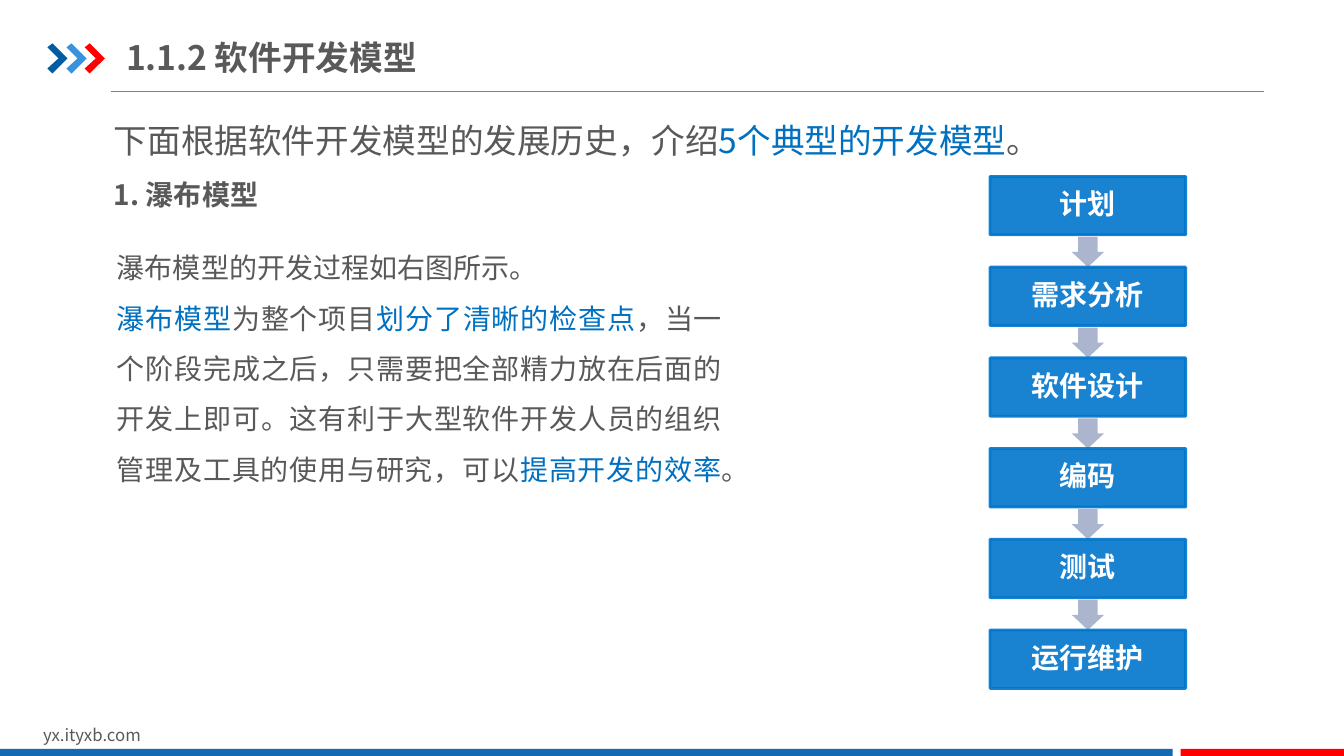
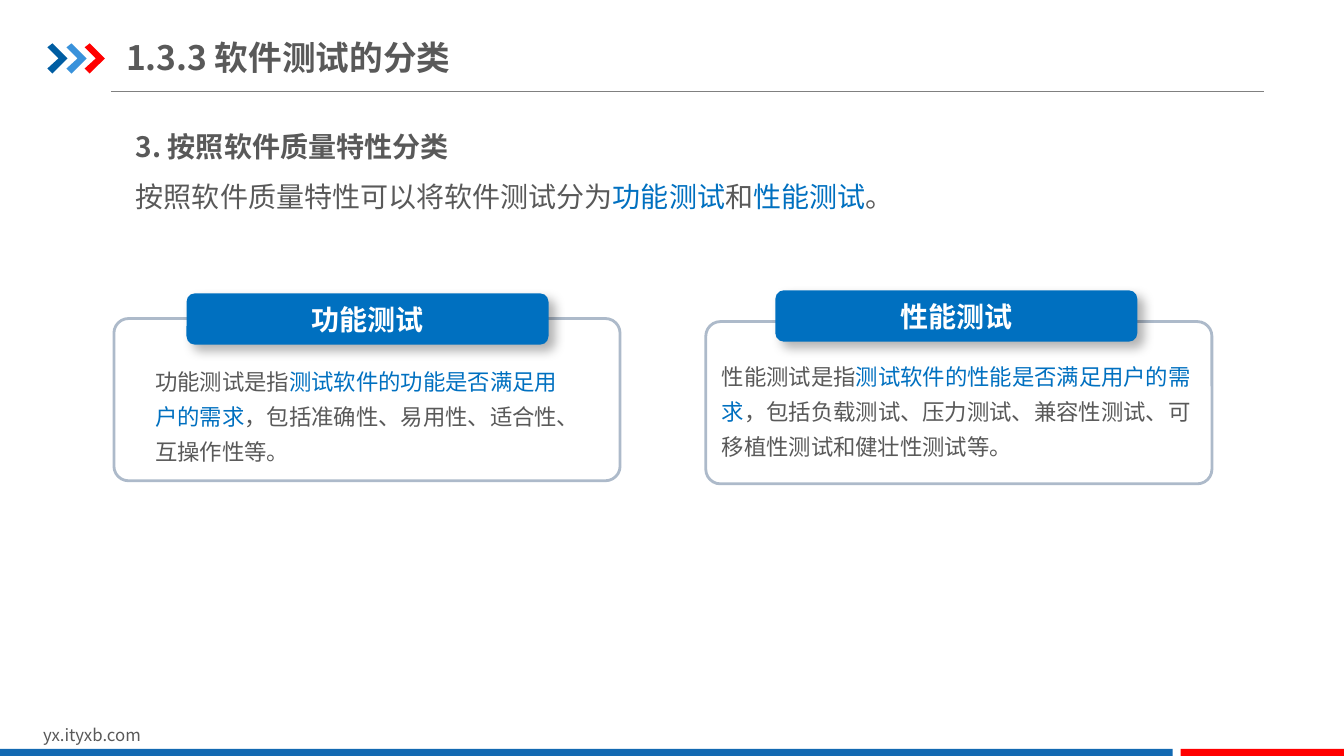
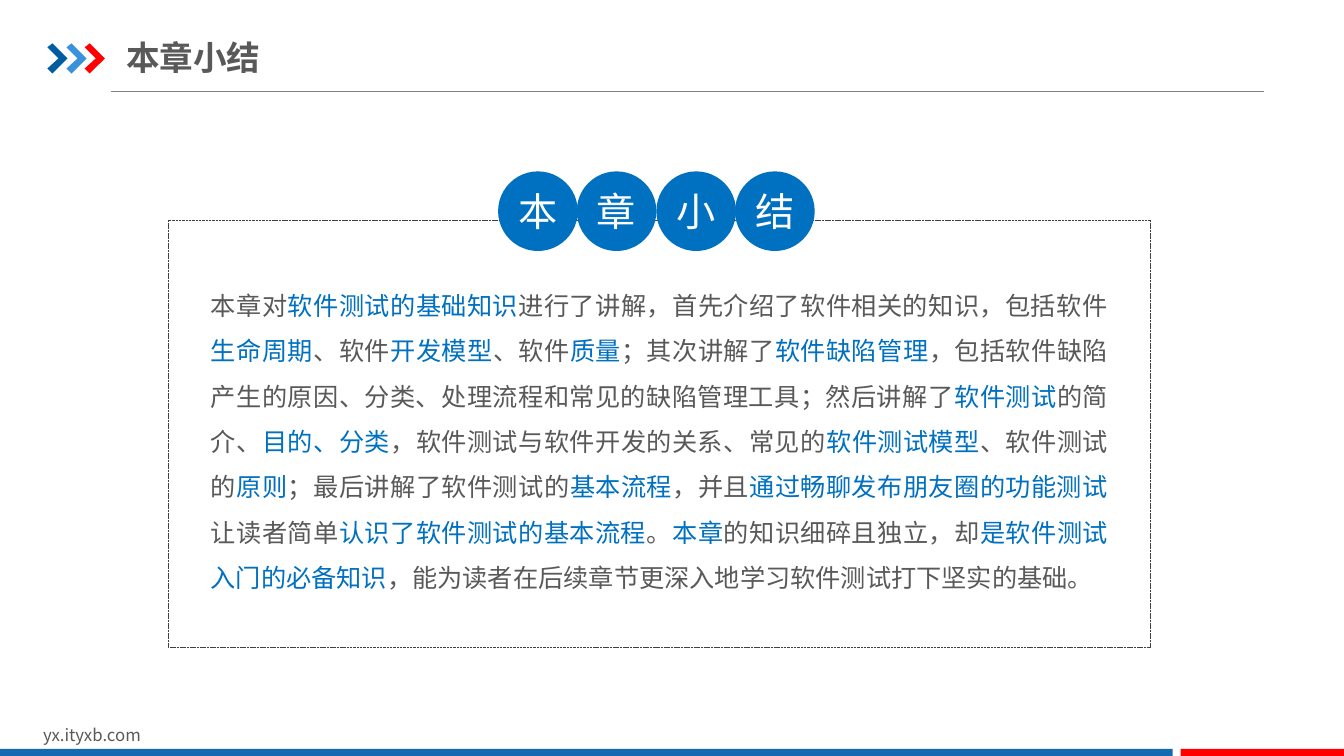
import pptx
import pptx.util
import pptx.dml.color
import pptx.enum.dml
import pptx.enum.shapes
import pptx.enum.text
import pptx.oxml
import pptx.oxml.ns
import lxml.etree

RGB = pptx.dml.color.RGBColor
SHAPE = pptx.enum.shapes.MSO_SHAPE
ALIGN = pptx.enum.text.PP_ALIGN
ANCHOR = pptx.enum.text.MSO_ANCHOR
Pt = pptx.util.Pt
qn = pptx.oxml.ns.qn

PX = 9144  # EMU per px, 100 px to the inch
FONT = "Noto Sans CJK SC"
GREY = RGB(0x59, 0x59, 0x59)
BLUE = RGB(0x00, 0x70, 0xC0)
WHITE = RGB(0xFF, 0xFF, 0xFF)
RED = RGB(0xFF, 0x00, 0x00)
BLACK = RGB(0x00, 0x00, 0x00)
RULE_GREY = RGB(0x80, 0x80, 0x80)
DEEP_BLUE = RGB(0x00, 0x5D, 0xA2)
SKY_BLUE = RGB(0x39, 0x92, 0xDB)
BAND_BLUE = RGB(0x13, 0x69, 0xB2)
NODE_BLUE = RGB(0x00, 0x75, 0xCC)
ARROW_GREY = RGB(0xAB, 0xB6, 0xCE)
FRAME_GREY = RGB(0xAD, 0xBA, 0xCA)
DASH_GREY = RGB(0x40, 0x40, 0x40)

# Content: *marked* words are blue; a paragraph is (text, size, bold)
FOOTER = "yx.ityxb.com"
TITLES = ["1.1.2 软件开发模型", "1.3.3 软件测试的分类", "本章小结"]
CHEVRONS = [(47, DEEP_BLUE), (66, SKY_BLUE), (84, RED)]
CHEVRON_OUTLINE = [(0, 4), (5, 0), (20, 15), (5, 30), (0, 25), (11, 15)]
BANDS = [(0, 1163, BAND_BLUE), (1171, 163, RED)]

MODEL_INTRO = [
    ("下面根据软件开发模型的发展历史，介绍*5个典型的开发模型*。", 24, False),
    ("1. 瀑布模型", 20, True),
]
MODEL_BODY = [
    ("瀑布模型的开发过程如右图所示。", 20, False),
    ("*瀑布模型*为整个项目*划分了清晰的检查点*，当一个阶段完成之后，"
     "只需要把全部精力放在后面的开发上即可。这有利于大型软件开发人员的组织"
     "管理及工具的使用与研究，可以*提高开发的效率*。", 20, False),
]
STAGES = ["计划", "需求分析", "软件设计", "编码", "测试", "运行维护"]

KINDS_INTRO = [
    ("3. 按照软件质量特性分类", 20, True),
    ("按照软件质量特性可以将软件测试分为*功能测试*和*性能测试*。", 20, False),
]
CARDS = [
    dict(heading="功能测试", frame=(113, 316), tab=(185, 291), body=(144, 352, 440, 115),
         text="功能测试是指*测试软件的功能是否满足用户的需求*，"
              "包括准确性、易用性、适合性、互操作性等。"),
    dict(heading="性能测试", frame=(700, 319), tab=(769, 288), body=(706, 347, 501, 115),
         text="性能测试是指*测试软件的性能是否满足用户的需求*，"
              "包括负载测试、压力测试、兼容性测试、可移植性测试和健壮性测试等。"),
]

SUMMARY = (
    "本章对*软件测试的基础知识*进行了讲解，首先介绍了软件相关的知识，包括软件"
    "*生命周期*、软件*开发模型*、软件*质量*；其次讲解了*软件缺陷管理*，"
    "包括软件缺陷产生的原因、分类、处理流程和常见的缺陷管理工具；"
    "然后讲解了*软件测试*的简介、*目的、分类*，软件测试与软件开发的关系、"
    "常见的*软件测试模型*、软件测试的*原则*；最后讲解了软件测试的*基本流程*，"
    "并且*通过畅聊发布朋友圈的功能测试*让读者简单*认识了软件测试的基本流程*。"
    "*本章*的知识细碎且独立，却*是软件测试入门的必备知识*，"
    "能为读者在后续章节更深入地学习软件测试打下坚实的基础。"
)


def emu(*lengths):
    return [length * PX for length in lengths]


def fill_text(shape, paragraphs, color=GREY, align=ALIGN.LEFT, spacing=1.0,
              insets=(10, 5), anchor=ANCHOR.TOP):
    """Write paragraphs run by run, switching to blue between asterisks."""
    frame = shape.text_frame
    frame.word_wrap = True
    frame.auto_size = pptx.enum.text.MSO_AUTO_SIZE.NONE
    frame.vertical_anchor = anchor
    frame.margin_left = frame.margin_right = insets[0] * PX
    frame.margin_top = frame.margin_bottom = insets[1] * PX
    for index, (text, size, bold) in enumerate(paragraphs):
        para = frame.add_paragraph() if index else frame.paragraphs[0]
        para.alignment = align
        para.line_spacing = spacing
        for part, words in enumerate(text.split("*")):
            if not words:
                continue
            span = para.add_run()
            span.text = words
            span.font.size = Pt(size)
            span.font.bold = bold
            span.font.color.rgb = BLUE if part % 2 else color
            span.font.name = FONT
            east_asian = lxml.etree.SubElement(span.font._element, qn("a:ea"))
            east_asian.set("typeface", FONT)


def add_text(page, place, paragraphs, **style):
    box = page.shapes.add_textbox(*emu(*place))
    fill_text(box, paragraphs, **style)
    return box


def paint(shape, fill=None, line=None, width=0.75):
    shape.shadow.inherit = False
    if fill is None:
        shape.fill.background()
    else:
        shape.fill.solid()
        shape.fill.fore_color.rgb = fill
    if line is None:
        shape.line.fill.background()
    else:
        shape.line.color.rgb = line
        shape.line.width = Pt(width)
    return shape


def add_block(page, kind, place, **colors):
    return paint(page.shapes.add_shape(kind, *emu(*place)), **colors)


def set_opacity(color_element, percent):
    alpha = lxml.etree.SubElement(color_element, qn("a:alpha"))
    alpha.set("val", str(percent * 1000))


def add_drop_shadow(shape):
    effects = shape.element.spPr.find(qn("a:effectLst"))
    shadow = lxml.etree.SubElement(effects, qn("a:outerShdw"))
    for name, value in dict(blurRad=Pt(8), dist=Pt(6), dir=45 * 60000,
                            algn="tl", rotWithShape=0).items():
        shadow.set(name, str(value))
    tint = lxml.etree.SubElement(shadow, qn("a:srgbClr"))
    tint.set("val", str(BLACK))
    set_opacity(tint, 30)


def decorate_layout(deck, layout):
    """Draw the shared parts on a scratch page and move them to the layout."""
    page = deck.slides.add_slide(layout)
    rule = page.shapes.add_connector(
        pptx.enum.shapes.MSO_CONNECTOR.STRAIGHT, *emu(110, 91, 1254, 91))
    rule.line.color.rgb = RULE_GREY
    rule.line.width = Pt(0.75)
    lxml.etree.SubElement(rule.element.spPr, qn("a:effectLst"))
    parts = [rule]
    for left, color in CHEVRONS:
        points = [(left + x, 43 + y) for x, y in CHEVRON_OUTLINE]
        builder = page.shapes.build_freeform(*points[0], scale=PX)
        builder.add_line_segments(points[1:], close=True)
        parts.append(paint(builder.convert_to_shape(), fill=color))
    parts.append(add_text(page, (33, 714, 318, 30), [(FOOTER, 12, False)]))
    for left, width, color in BANDS:
        parts.append(add_block(page, SHAPE.RECTANGLE, (left, 743, width, 9), fill=color))
    for part in parts:
        layout.shapes.element.append(part.element)
    return page


def set_title(page, text):
    title = page.shapes.title
    title.left, title.top, title.width, title.height = emu(125, 29, 620, 55)
    fill_text(title, [(text, 24, True)], insets=(0, 7), anchor=ANCHOR.MIDDLE)


def build_models(page):
    add_text(page, (100, 92, 1142, 125), MODEL_INTRO,
             align=ALIGN.JUSTIFY, spacing=1.5, insets=(13, 7))
    # Waterfall: equal steps with an arrow in each gap
    left, top, width, height, pitch = 982, 175, 194, 58, 90
    for index, stage in enumerate(STAGES):
        stage_top = top + index * pitch
        node = add_block(page, SHAPE.RECTANGLE, (left, stage_top, width, height),
                         fill=NODE_BLUE, line=NODE_BLUE, width=2)
        for color in node.element.spPr.iter(qn("a:srgbClr")):
            set_opacity(color, 90)
        fill_text(node, [(stage, 20, True)], color=WHITE, align=ALIGN.CENTER,
                  spacing=0.9, insets=(21, 4), anchor=ANCHOR.MIDDLE)
        if index < len(STAGES) - 1:
            arrow = add_block(page, SHAPE.DOWN_ARROW,
                              (left + width // 2 - 16, stage_top + 60, 32, 30),
                              fill=ARROW_GREY)
            arrow.adjustments[0] = 0.6
            arrow.adjustments[1] = 0.5
    add_text(page, (103, 225, 626, 266), MODEL_BODY,
             align=ALIGN.JUSTIFY, spacing=1.5, insets=(13, 7))


def build_kinds(page):
    add_text(page, (125, 107, 1100, 124), KINDS_INTRO, spacing=1.5)
    for card in CARDS:
        frame = add_block(page, SHAPE.ROUNDED_RECTANGLE, (*card["frame"], 502, 161),
                          line=FRAME_GREY, width=2)
        frame.adjustments[0] = 0.09
        add_text(page, card["body"], [(card["text"], 16, False)], spacing=1.3)
        tab = add_block(page, SHAPE.ROUNDED_RECTANGLE, (*card["tab"], 359, 51), fill=BLUE)
        add_drop_shadow(tab)
        fill_text(tab, [(card["heading"], 20, True)], color=WHITE,
                  align=ALIGN.CENTER, anchor=ANCHOR.MIDDLE)


def build_summary(page):
    frame = add_block(page, SHAPE.RECTANGLE, (167, 218, 974, 424),
                      line=DASH_GREY, width=0.25)
    frame.line.dash_style = pptx.enum.dml.MSO_LINE.SQUARE_DOT
    add_text(page, (209, 273, 890, 318), [(SUMMARY, 18, False)],
             align=ALIGN.JUSTIFY, spacing=1.5, insets=(0, 0))
    # One touching circle per character of the heading
    for index, character in enumerate(TITLES[2]):
        circle = add_block(page, SHAPE.OVAL, (494 + index * 157 // 2, 170, 79, 79), fill=BLUE)
        fill_text(circle, [(character, 28, False)], color=WHITE,
                  align=ALIGN.CENTER, insets=(0, 0), anchor=ANCHOR.MIDDLE)


def main():
    deck = pptx.Presentation()
    deck.slide_width, deck.slide_height = emu(1333, 750)
    layout = deck.slide_layouts.get_by_name("Title Only")
    first = decorate_layout(deck, layout)
    pages = [first] + [deck.slides.add_slide(layout) for _ in TITLES[1:]]
    builders = [build_models, build_kinds, build_summary]
    for page, title, build in zip(pages, TITLES, builders):
        set_title(page, title)
        build(page)
    deck.save("out.pptx")


if __name__ == "__main__":
    main()
